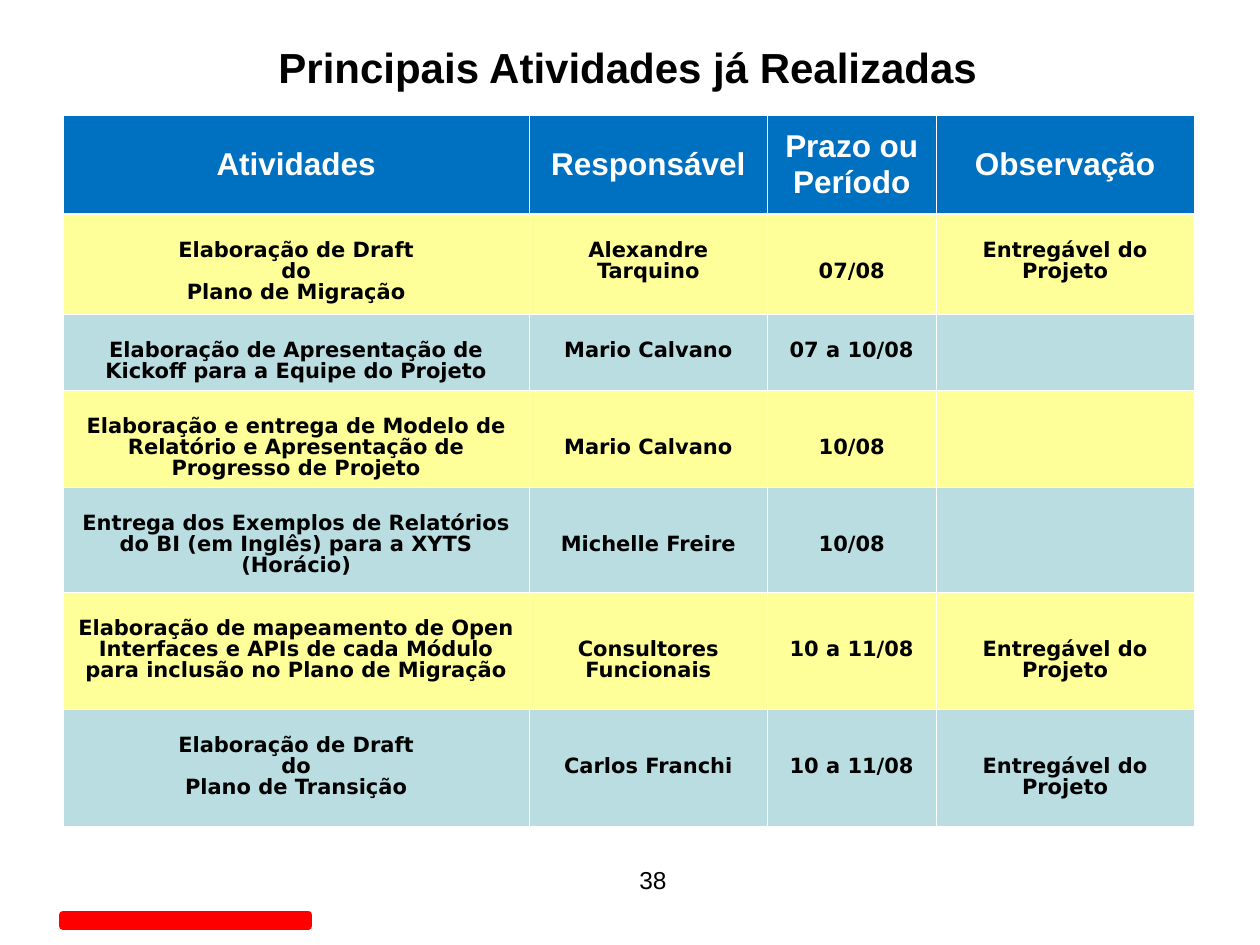
from dataclasses import dataclass

from lxml import etree
from pptx import Presentation
from pptx.dml.color import RGBColor
from pptx.enum.shapes import MSO_SHAPE
from pptx.enum.text import MSO_ANCHOR, MSO_AUTO_SIZE, PP_ALIGN
from pptx.oxml.ns import qn
from pptx.util import Cm, Pt

RECT = MSO_SHAPE.RECTANGLE
TOP, MIDDLE = MSO_ANCHOR.TOP, MSO_ANCHOR.MIDDLE
LEFT, CENTER, RIGHT = PP_ALIGN.LEFT, PP_ALIGN.CENTER, PP_ALIGN.RIGHT
FIXED = MSO_AUTO_SIZE.NONE

BLACK = RGBColor(0x00, 0x00, 0x00)
WHITE = RGBColor(0xFF, 0xFF, 0xFF)
RED = RGBColor(0xFF, 0x00, 0x00)
BLUE = RGBColor(0x00, 0x70, 0xC0)
YELLOW = RGBColor(0xFF, 0xFF, 0x99)
TEAL = RGBColor(0xBA, 0xDD, 0xE1)

SANS, BODY = "Arial", "DejaVu Sans"
LINE = Pt(12)
THIN, THICK = Pt(0.45), Pt(1.47)


@dataclass
class Entry:
    """Text of a body cell and how many lines it starts below the cell top."""
    text: str = ""
    drop: int = 1


@dataclass
class Task:
    height: float
    cells: tuple[Entry, ...]


HEADS = ("Atividades", "Responsável", "Prazo ou Período", "Observação")
WIDTHS = (9.4, 4.8, 3.4, 5.2)
HEAD_H = 1.99
OUTPUT = "Entregável do Projeto"
TASKS = (
    Task(2.03, (Entry("Elaboração de Draft\ndo\nPlano de Migração"),
                Entry("Alexandre Tarquino"), Entry("07/08", 2), Entry(OUTPUT))),
    Task(1.52, (Entry("Elaboração de Apresentação de Kickoff para a Equipe do Projeto"),
                Entry("Mario Calvano"), Entry("07 a 10/08"), Entry())),
    Task(1.95, (Entry("Elaboração e entrega de Modelo de Relatório e Apresentação "
                      "de Progresso de Projeto"),
                Entry("Mario Calvano", 2), Entry("10/08", 2), Entry())),
    Task(2.11, (Entry("Entrega dos Exemplos de Relatórios do BI (em Inglês) "
                      "para a XYTS (Horácio)"),
                Entry("Michelle Freire", 2), Entry("10/08", 2), Entry())),
    Task(2.36, (Entry("Elaboração de mapeamento de Open Interfaces e APIs de cada "
                      "Módulo para inclusão no Plano de Migração"),
                Entry("Consultores Funcionais", 2), Entry("10 a 11/08", 2),
                Entry(OUTPUT, 2))),
    Task(2.36, (Entry("Elaboração de Draft\ndo\nPlano de Transição"),
                Entry("Carlos Franchi", 2), Entry("10 a 11/08", 2),
                Entry(OUTPUT, 2))),
)


def style(par, name: str, size: float, color: RGBColor, bold: bool, align) -> None:
    par.alignment = align
    font = par.font
    font.name, font.size, font.bold = name, Pt(size), bold
    font.color.rgb = color


def place(shape, left: float, top: float, width: float, height: float) -> None:
    shape.left, shape.top = Cm(left), Cm(top)
    shape.width, shape.height = Cm(width), Cm(height)


def edge(cell, side: str, width: int) -> None:
    """Add one white border; side is L, R, T or B."""
    props = cell._tc.get_or_add_tcPr()
    line = etree.SubElement(props, qn(f"a:ln{side}"), w=str(int(width)))
    fill = etree.SubElement(line, qn("a:solidFill"))
    etree.SubElement(fill, qn("a:srgbClr"), val=str(WHITE))


def paint(cell, color: RGBColor, top: int, bottom: int) -> None:
    for side, width in (("L", THIN), ("R", THIN), ("T", top), ("B", bottom)):
        edge(cell, side, width)
    cell.fill.solid()
    cell.fill.fore_color.rgb = color


def draw_head(cell, text: str) -> None:
    paint(cell, BLUE, THIN, THICK)
    cell.vertical_anchor = MIDDLE
    cell.text = text
    style(cell.text_frame.paragraphs[0], SANS, 18, WHITE, True, CENTER)


def draw_entry(cell, entry: Entry, color: RGBColor, top: int) -> None:
    paint(cell, color, top, THIN)
    cell.margin_left = cell.margin_right = Cm(0.2)
    cell.margin_top = Cm(0.13) + entry.drop * LINE
    cell.margin_bottom = Cm(0.13)
    cell.text = entry.text
    for par in cell.text_frame.paragraphs:
        par.line_spacing = LINE
        style(par, BODY, 12, BLACK, True, CENTER)


def draw_table(slide) -> None:
    height = HEAD_H + sum(task.height for task in TASKS)
    frame = slide.shapes.add_table(len(TASKS) + 1, len(HEADS), Cm(1.27), Cm(2.32),
                                   Cm(sum(WIDTHS)), Cm(height))
    table = frame.table
    table.horz_banding = False
    for col, width in zip(table.columns, WIDTHS):
        col.width = Cm(width)
    table.rows[0].height = Cm(HEAD_H)
    for cell, text in zip(table.rows[0].cells, HEADS):
        draw_head(cell, text)
    for num, task in enumerate(TASKS, 1):
        row = table.rows[num]
        row.height = Cm(task.height)
        for cell, entry in zip(row.cells, task.cells):
            draw_entry(cell, entry, YELLOW if num % 2 else TEAL,
                       THICK if num == 1 else THIN)


def main() -> None:
    deck = Presentation()
    deck.slide_width, deck.slide_height = Cm(25.4), Cm(19.05)
    slide = deck.slides.add_slide(deck.slide_layouts[5])

    # Red bar at the foot
    bar = slide.shapes.add_shape(RECT, Cm(1.27), Cm(18.44), Cm(4.95), Cm(0.23))
    bar.shadow.inherit = False
    bar.fill.solid()
    bar.fill.fore_color.rgb = RED
    bar.line.color.rgb = RED
    bar.line.width = Pt(4.5)

    # Page number
    page = slide.shapes.add_textbox(Cm(12.29), Cm(17.32), Cm(1.4), Cm(1.32))
    page.text_frame.word_wrap = True
    page.text_frame.text = "38"
    style(page.text_frame.paragraphs[0], SANS, 14, BLACK, False, RIGHT)

    draw_table(slide)

    # Title
    title = slide.shapes.title
    place(title, 5.36, 0.71, 14.63, 1.27)
    frame = title.text_frame
    frame.text = "Principais Atividades já Realizadas"
    frame.word_wrap = False
    frame.auto_size = FIXED
    frame.vertical_anchor = TOP
    style(frame.paragraphs[0], SANS, 24, BLACK, True, LEFT)

    deck.save("out.pptx")


if __name__ == "__main__":
    main()
